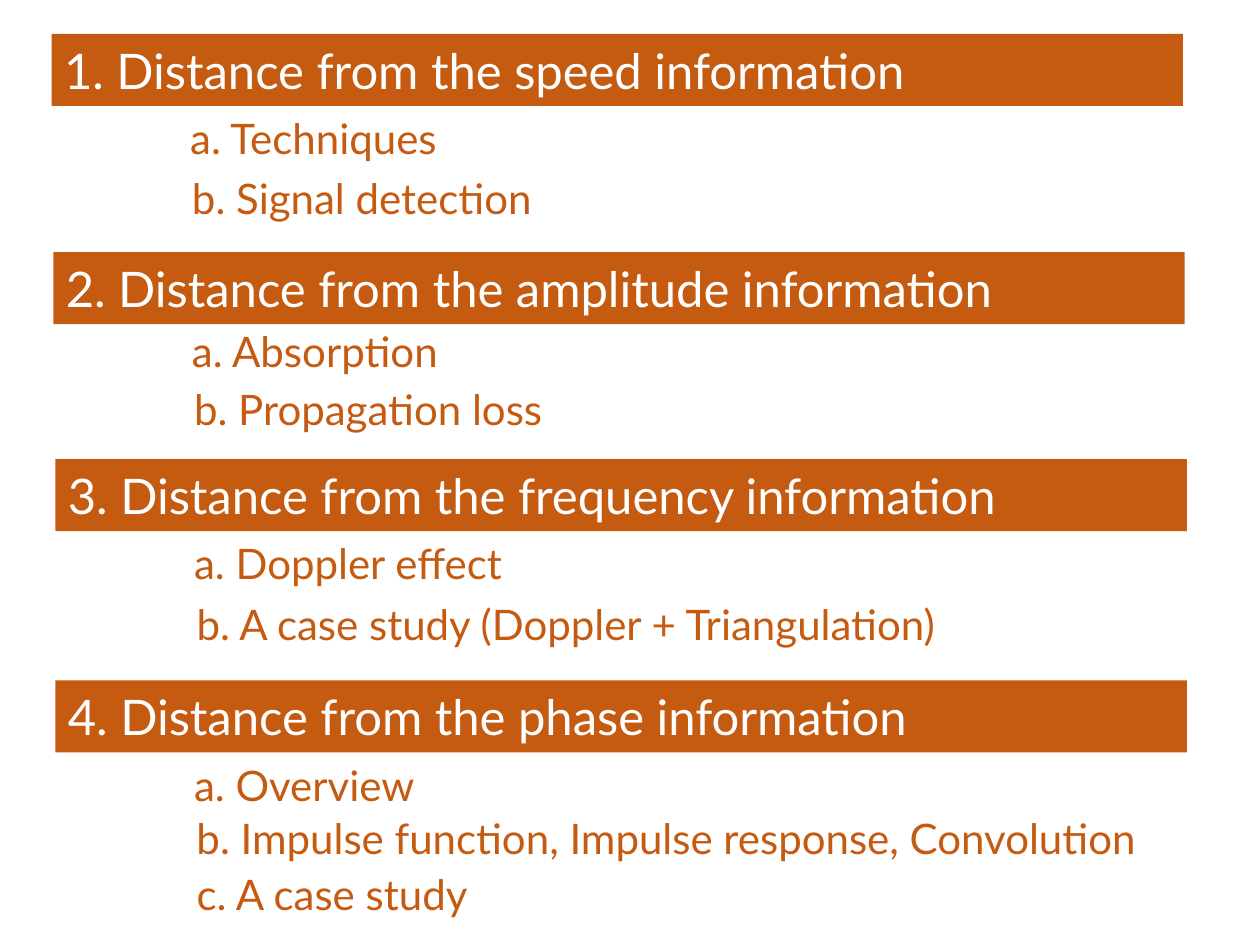
from pptx import Presentation
from pptx.dml.color import RGBColor
from pptx.enum.shapes import MSO_SHAPE
from pptx.enum.text import MSO_ANCHOR, PP_ALIGN
from pptx.util import Pt

COLORS = {"accent": "C55A11", "heading_text": "FFFFFF"}
FONT = "Lato"
HEADING_WIDTH, ROW_HEIGHT = 646.5, 41.2
ITEM_WIDTH, WIDE_ITEM_WIDTH = 598.3, 655.2
ITEM_INDENT = 72

# Each section: left, top, heading, items as (offset right, offset down, width, text)
SECTIONS = [
    (29.5, 19.4, "1. Distance from the speed information", [
        (0, 37.5, ITEM_WIDTH, "a. Techniques"),
        (1, 71.3, ITEM_WIDTH, "b. Signal detection"),
    ]),
    (30.5, 144, "2. Distance from the amplitude information", [
        (0, 34.6, ITEM_WIDTH, "a. Absorption"),
        (1.2, 67.7, ITEM_WIDTH, "b. Propagation loss"),
    ]),
    (31.7, 262.3, "3. Distance from the frequency information", [
        (0, 37.4, ITEM_WIDTH, "a. Doppler effect"),
        (1.4, 72, ITEM_WIDTH, "b. A case study (Doppler + Triangulation)"),
    ]),
    (31.7, 388.8, "4. Distance from the phase information", [
        (0, 37.4, ITEM_WIDTH, "a. Overview"),
        (1.4, 67.7, WIDE_ITEM_WIDTH,
         "b. Impulse function, Impulse response, Convolution"),
        (1.4, 100.1, ITEM_WIDTH, "c. A case study"),
    ]),
]


def write_line(shape, text, size, color):
    frame = shape.text_frame
    frame.word_wrap = True
    frame.vertical_anchor = MSO_ANCHOR.TOP
    paragraph = frame.paragraphs[0]
    paragraph.text = text
    paragraph.alignment = PP_ALIGN.LEFT
    paragraph.font.name = FONT
    paragraph.font.size = Pt(size)
    paragraph.font.color.rgb = RGBColor.from_string(COLORS[color])


def add_heading(slide, left, top, text):
    bar = slide.shapes.add_shape(
        MSO_SHAPE.RECTANGLE, Pt(left), Pt(top), Pt(HEADING_WIDTH), Pt(ROW_HEIGHT))
    bar.shadow.inherit = False
    bar.fill.solid()
    bar.fill.fore_color.rgb = RGBColor.from_string(COLORS["accent"])
    bar.line.fill.background()
    write_line(bar, text, 28, "heading_text")


def add_item(slide, left, top, width, text):
    box = slide.shapes.add_textbox(Pt(left), Pt(top), Pt(width), Pt(ROW_HEIGHT))
    box.text_frame.margin_left = Pt(7.2 + ITEM_INDENT)
    box.text_frame.margin_top = Pt(7.6)
    write_line(box, text, 24, "accent")


def add_section(slide, left, top, heading, items):
    add_heading(slide, left, top, heading)
    for right, down, width, text in items:
        add_item(slide, left + right, top + down, width, text)


def main():
    presentation = Presentation()
    presentation.slide_width, presentation.slide_height = Pt(720), Pt(540)
    slide = presentation.slides.add_slide(presentation.slide_layouts[6])
    for section in SECTIONS:
        add_section(slide, *section)
    presentation.save("out.pptx")


if __name__ == "__main__":
    main()
